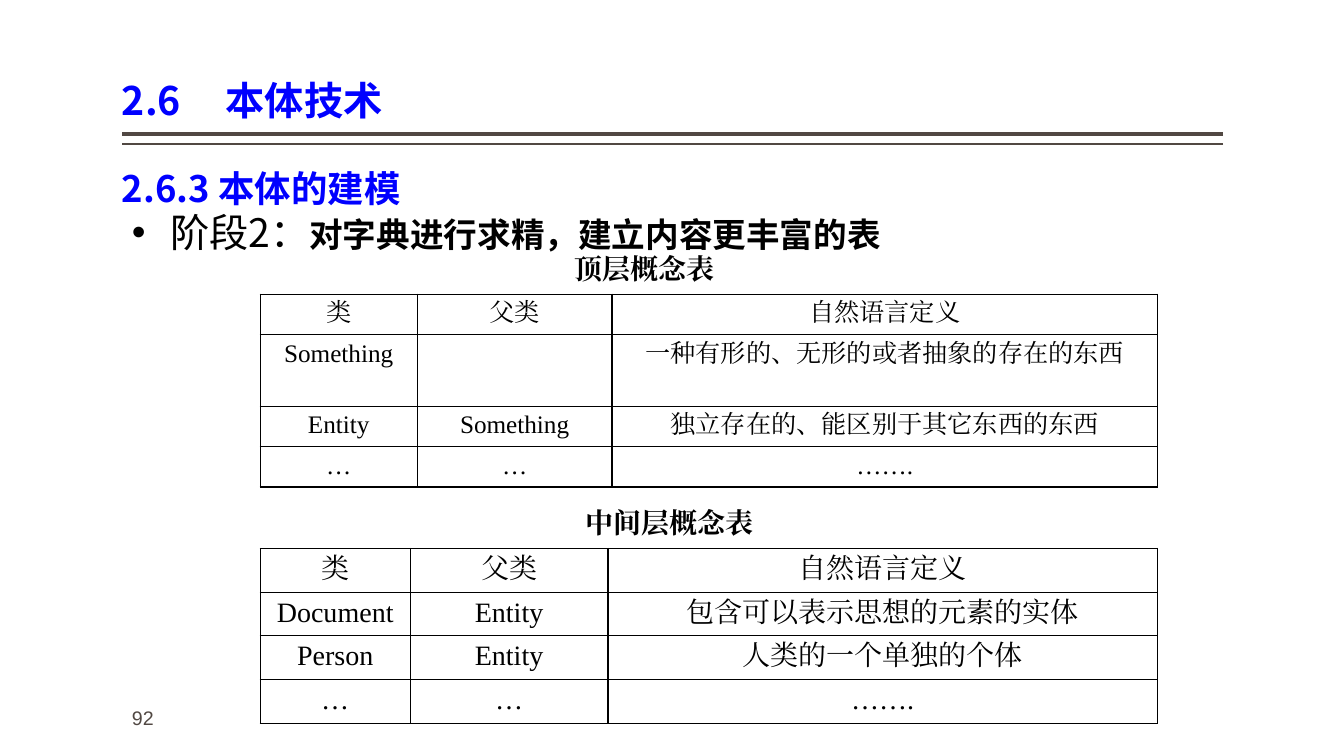
"""Build the slide on refining the ontology dictionary into concept tables."""
from lxml import etree
from pptx import Presentation
from pptx import util as u
from pptx.dml.color import RGBColor
from pptx.enum import shapes, text
from pptx.oxml.ns import qn

COLORS = {"blue": "0000FF", "black": "000000", "gray": "514843"}
SANS, SERIF = "Noto Sans CJK SC", "Times New Roman"


def style(r, size, font, color="black", bold=False):
    r.font.size, r.font.name, r.font.bold = u.Pt(size), font, bold
    r.font.color.rgb = RGBColor.from_string(COLORS[color])
    etree.SubElement(r.font._element, qn("a:ea"), typeface=font)


def add_text(s, box, runs, spacing=None, inset=0.1, wrap=True):
    tf = s.shapes.add_textbox(*map(u.Inches, box)).text_frame
    tf.word_wrap = wrap
    tf.margin_left = tf.margin_right = u.Inches(inset)
    p = tf.paragraphs[0]
    p.line_spacing = spacing
    for words, *look in runs:
        r = p.add_run()
        r.text = words
        style(r, *look)
    return tf


prs = Presentation()
prs.slide_width, prs.slide_height = u.Inches(13.33), u.Inches(7.5)
s = prs.slides.add_slide(prs.slide_layouts[6])

for y, width in [(1.33, 3), (1.43, 1)]:
    rule = s.shapes.add_connector(shapes.MSO_CONNECTOR.STRAIGHT, u.Inches(12.13), u.Inches(y),
                                  u.Inches(1.21), u.Inches(y))
    rule.line.color.rgb = RGBColor.from_string(COLORS["gray"])
    rule.line.width = u.Pt(width)
    etree.SubElement(rule._element.spPr, qn("a:effectLst"))

add_text(s, (1.21, 6.95, 2, 0.4), [("92", 14, "Arial", "gray")])

title = add_text(s, (1.21, 0.08, 10.92, 1.2), [("2.6\t本体技术", 28, SANS, "blue", True)], 0.9, 0)
title.vertical_anchor = text.MSO_ANCHOR.BOTTOM
tabs = etree.SubElement(title.paragraphs[0]._p.get_or_add_pPr(), qn("a:tabLst"))
etree.SubElement(tabs, qn("a:tab"), pos=str(u.Inches(1.03)), algn="l")

add_text(s, (1.21, 1.38, 10.92, 0.92), [("2.6.3 本体的建模", 26, SANS, "blue", True)], 1.5, 0)

stage = add_text(s, (1.21, 2.07, 8.35, 0.55), [
    ("阶段2：", 28, "Noto Sans CJK JP"),
    ("对字典进行求精，建立内容更丰富的表", 24, "Cabin", "black", True)], 0.9)
pPr = stage.paragraphs[0]._p.get_or_add_pPr()
pPr.set("marL", str(u.Inches(0.38)))
pPr.set("indent", str(u.Inches(-0.38)))
etree.SubElement(pPr, qn("a:buFont"), typeface="Arial")
etree.SubElement(pPr, qn("a:buChar"), char="•")

header, more = ("类", "父类", "自然语言定义"), ("…", "…", "…….")
tables = [
    ("顶层概念表", (5.43, 2.45, 1.93, 0.43), 2.92, 18, (1.56, 1.93, 5.41), (0.4, 0.71, 0.4, 0.4),
     [header,
      ("Something", "", "一种有形的、无形的或者抽象的存在的东西"),
      ("Entity", "Something", "独立存在的、能区别于其它东西的东西"),
      more]),
    ("中间层概念表", (5.56, 4.97, 2.17, 0.43), 5.44, 20, (1.49, 1.96, 5.45), (0.43,) * 4,
     [header,
      ("Document", "Entity", "包含可以表示思想的元素的实体"),
      ("Person", "Entity", "人类的一个单独的个体"),
      more]),
]

for caption, box, top, size, widths, heights, rows in tables:
    tf = add_text(s, box, [(caption, 20, SERIF, "black", True)], wrap=False)
    tf.auto_size = text.MSO_AUTO_SIZE.SHAPE_TO_FIT_TEXT
    tf.vertical_anchor = text.MSO_ANCHOR.MIDDLE
    tf.paragraphs[0].alignment = text.PP_ALIGN.CENTER

    table = s.shapes.add_table(len(rows), len(widths), u.Inches(2.58), u.Inches(top),
                               u.Inches(sum(widths)), u.Inches(sum(heights))).table
    table.first_row = table.horz_banding = False
    for column, width in zip(table.columns, widths):
        column.width = u.Inches(width)
    for row, height, values in zip(table.rows, heights, rows):
        row.height = u.Inches(height)
        for cell, value in zip(row.cells, values):
            p = cell.text_frame.paragraphs[0]
            p.text = value
            p.alignment = text.PP_ALIGN.CENTER
            for r in p.runs:
                style(r, size, SERIF)
            tcPr = cell._tc.get_or_add_tcPr()
            for side in ("lnL", "lnR", "lnT", "lnB"):
                ln = etree.SubElement(tcPr, qn(f"a:{side}"), w=str(u.Pt(1)))
                fill = etree.SubElement(ln, qn("a:solidFill"))
                etree.SubElement(fill, qn("a:srgbClr"), val=COLORS["black"])
            cell.fill.background()

prs.save("out.pptx")
